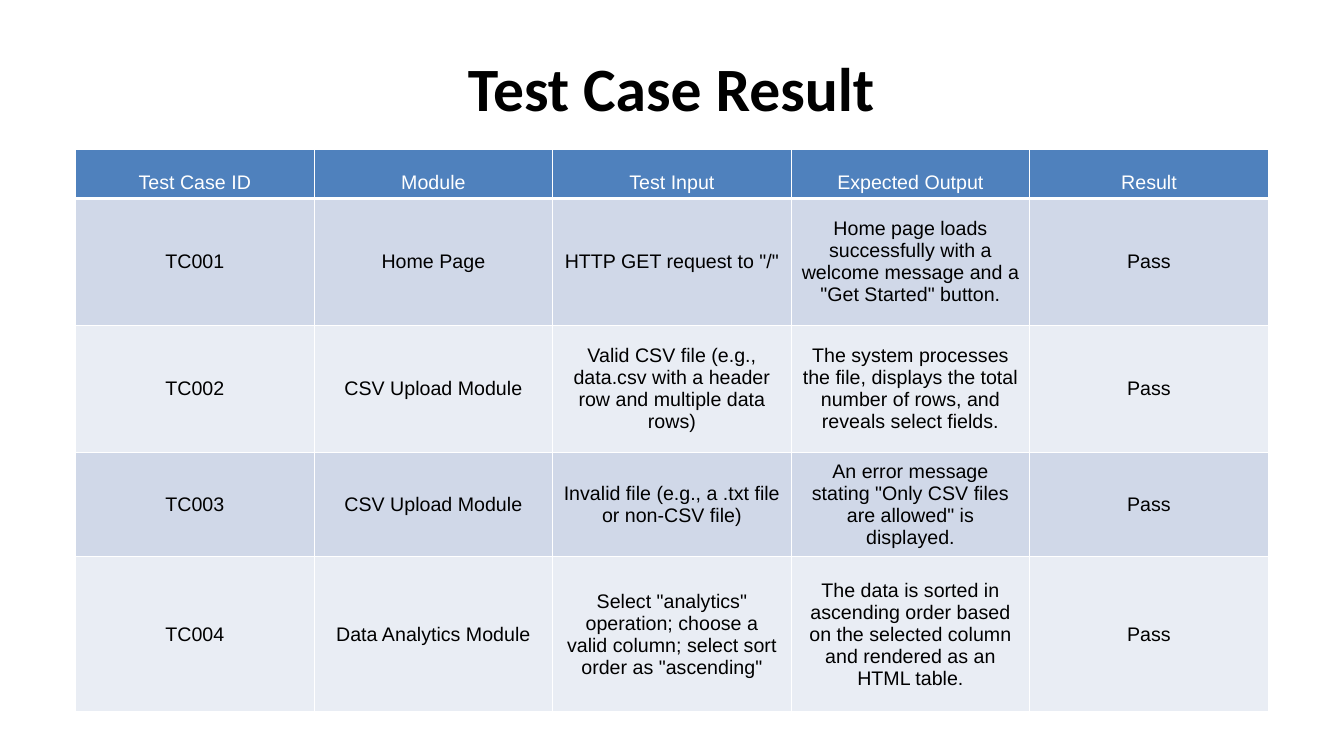
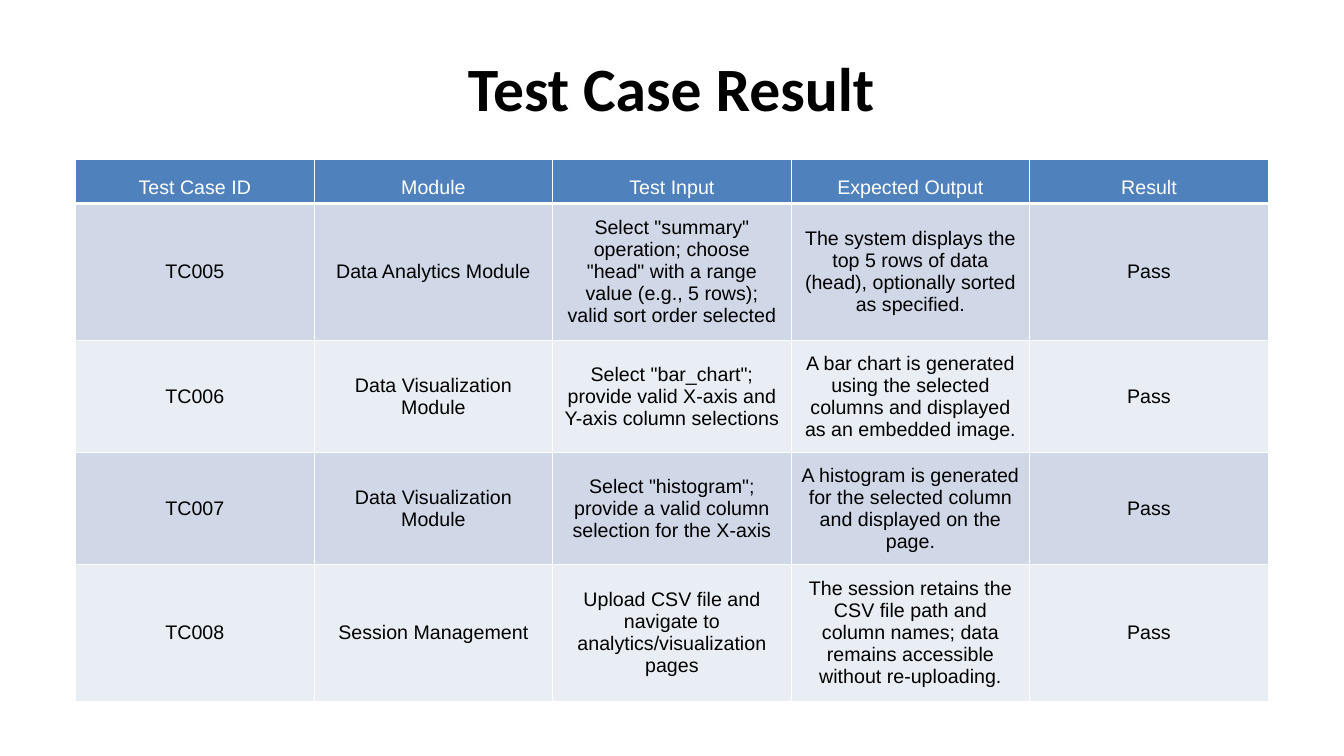
import dataclasses

import lxml.etree
import pptx
import pptx.dml.color
import pptx.enum.text
import pptx.oxml.ns
import pptx.util

EMU_PER_PX = 9144


@dataclasses.dataclass(frozen=True)
class Theme:
    black: str = "000000"
    white: str = "FFFFFF"
    header: str = "4F81BD"
    bands: tuple = ("D0D8E8", "E9EDF4")
    title_font: str = "Calibri"
    table_font: str = "Arial"
    title_size: int = 44
    table_size: int = 14
    thin_rule: int = 1
    header_rule: int = 3


THEME = Theme()
TITLE = "Test Case Result"
TITLE_BOX = (110, 50, 1112, 74)
HEADINGS = ("Test Case ID", "Module", "Test Input", "Expected Output", "Result")

RESULT_SLIDES = (
    {
        "box": (75, 148, 1183, 552),
        "row_heights": (49, 126, 126, 97, 154),
        "cases": (
            ("TC001", "Home Page", 'HTTP GET request to "/"',
             'Home page loads successfully with a welcome message and a "Get Started" button.',
             "Pass"),
            ("TC002", "CSV Upload Module",
             "Valid CSV file (e.g., data.csv with a header row and multiple data rows)",
             "The system processes the file, displays the total number of rows, "
             "and reveals select fields.",
             "Pass"),
            ("TC003", "CSV Upload Module",
             "Invalid file (e.g., a .txt file or non-CSV file)",
             'An error message stating "Only CSV files are allowed" is displayed.',
             "Pass"),
            ("TC004", "Data Analytics Module",
             'Select "analytics" operation; choose a valid column; '
             'select sort order as "ascending"',
             "The data is sorted in ascending order based on the selected column "
             "and rendered as an HTML table.",
             "Pass"),
        ),
    },
    {
        "box": (75, 158, 1183, 538),
        "row_heights": (44, 136, 111, 111, 136),
        "cases": (
            ("TC005", "Data Analytics Module",
             'Select "summary" operation; choose "head" with a range value '
             "(e.g., 5 rows); valid sort order selected",
             "The system displays the top 5 rows of data (head), optionally sorted as specified.",
             "Pass"),
            ("TC006", "Data Visualization Module",
             'Select "bar_chart"; provide valid X-axis and Y-axis column selections',
             "A bar chart is generated using the selected columns "
             "and displayed as an embedded image.",
             "Pass"),
            ("TC007", "Data Visualization Module",
             'Select "histogram"; provide a valid column selection for the X-axis',
             "A histogram is generated for the selected column and displayed on the page.",
             "Pass"),
            ("TC008", "Session Management",
             "Upload CSV file and navigate to analytics/visualization pages",
             "The session retains the CSV file path and column names; "
             "data remains accessible without re-uploading.",
             "Pass"),
        ),
    },
)


def px(length):
    return pptx.util.Emu(round(length * EMU_PER_PX))


def rgb(color):
    return pptx.dml.color.RGBColor.from_string(color)


def write_centred(frame, text, font, size, color, bold=False):
    paragraph = frame.paragraphs[0]
    paragraph.alignment = pptx.enum.text.PP_ALIGN.CENTER
    run = paragraph.add_run()
    run.text = text
    run.font.name = font
    run.font.size = pptx.util.Pt(size)
    run.font.bold = bold
    run.font.color.rgb = rgb(color)


def set_borders(cell, top, bottom):
    properties = cell._tc.get_or_add_tcPr()
    widths = {"lnL": THEME.thin_rule, "lnR": THEME.thin_rule, "lnT": top, "lnB": bottom}
    for position, (side, width) in enumerate(widths.items()):
        border = lxml.etree.Element(pptx.oxml.ns.qn(f"a:{side}"), w=str(pptx.util.Pt(width)))
        fill = lxml.etree.SubElement(border, pptx.oxml.ns.qn("a:solidFill"))
        lxml.etree.SubElement(fill, pptx.oxml.ns.qn("a:srgbClr"), val=THEME.white)
        properties.insert(position, border)


def add_title(slide, box):
    frame = slide.shapes.add_textbox(*map(px, box)).text_frame
    frame.word_wrap = True
    frame.margin_left = frame.margin_right = frame.margin_top = frame.margin_bottom = 0
    write_centred(frame, TITLE, THEME.title_font, THEME.title_size, THEME.black, bold=True)


def fill_cell(cell, text, row_index):
    is_header = row_index == 0
    cell.fill.solid()
    cell.fill.fore_color.rgb = rgb(
        THEME.header if is_header else THEME.bands[(row_index - 1) % len(THEME.bands)])
    anchors = pptx.enum.text.MSO_ANCHOR
    cell.vertical_anchor = anchors.BOTTOM if is_header else anchors.MIDDLE
    write_centred(cell.text_frame, text, THEME.table_font, THEME.table_size,
                  THEME.white if is_header else THEME.black)
    set_borders(cell,
                top=THEME.header_rule if row_index == 1 else THEME.thin_rule,
                bottom=THEME.header_rule if is_header else THEME.thin_rule)


def add_results_table(slide, box, row_heights, cases):
    rows = (HEADINGS, *cases)
    results = slide.shapes.add_table(len(rows), len(HEADINGS), *map(px, box)).table
    results.horz_banding = False
    for column in results.columns:
        column.width = px(box[2] / len(HEADINGS))
    for row_index, (texts, height) in enumerate(zip(rows, row_heights)):
        results.rows[row_index].height = px(height)
        for column_index, text in enumerate(texts):
            fill_cell(results.cell(row_index, column_index), text, row_index)


def add_result_slide(deck, content):
    slide = deck.slides.add_slide(deck.slide_layouts[6])
    add_title(slide, TITLE_BOX)
    add_results_table(slide, **content)


def main():
    deck = pptx.Presentation()
    deck.slide_width, deck.slide_height = px(1333), px(750)
    for content in RESULT_SLIDES:
        add_result_slide(deck, content)
    deck.save("out.pptx")


if __name__ == "__main__":
    main()
